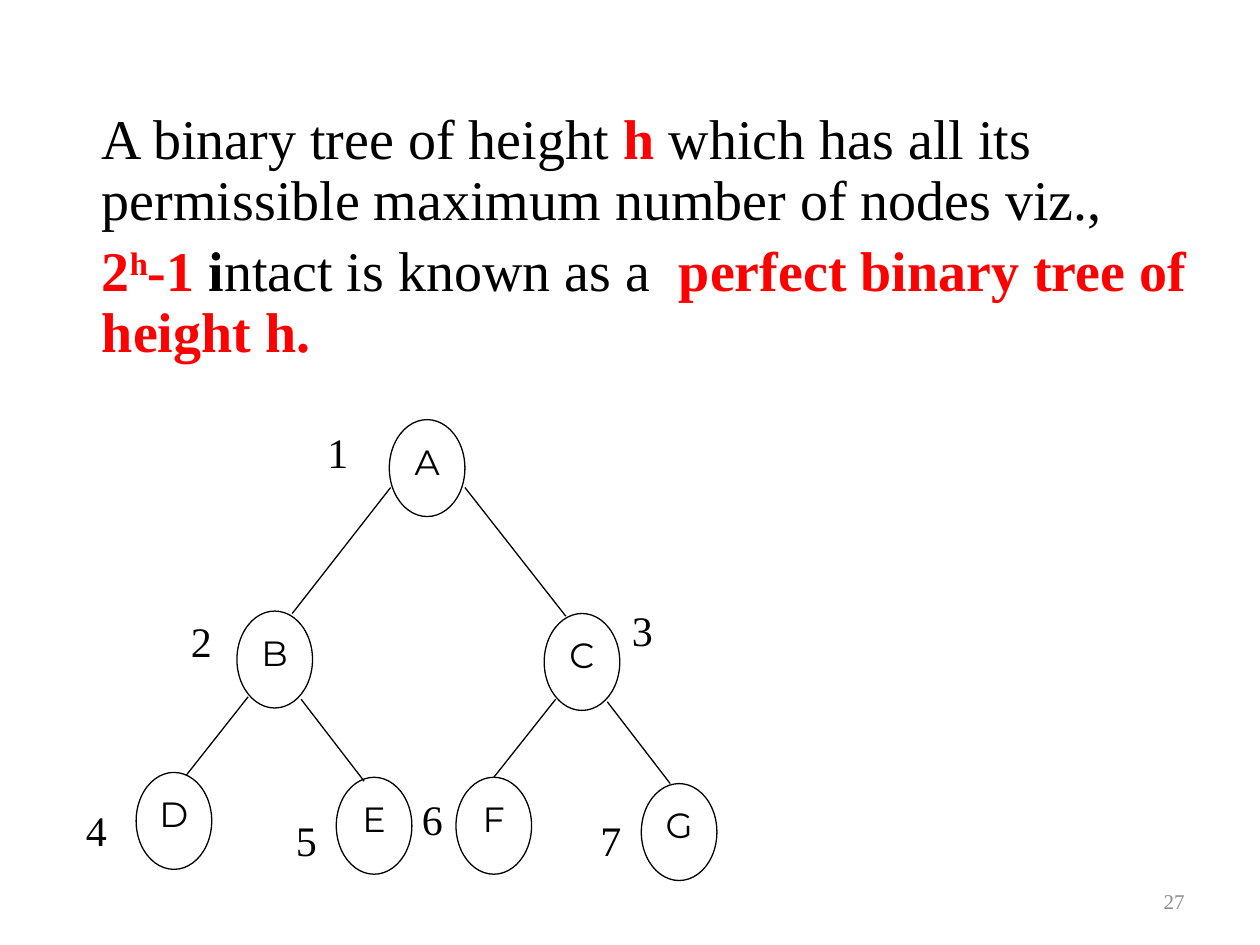
from lxml.etree import SubElement
from pptx import Presentation
from pptx.dml.color import RGBColor
from pptx.enum.shapes import MSO_CONNECTOR as Connector, MSO_SHAPE as Shape
from pptx.enum.text import MSO_ANCHOR as Anchor, PP_ALIGN as Align
from pptx.oxml.ns import qn
from pptx.util import Pt

BLACK = RGBColor(0, 0, 0)
RED = RGBColor(255, 0, 0)
GRAY = RGBColor(0x8C, 0x8C, 0x8C)
SERIF = "Times New Roman"
SANS = "Montserrat"


def write(para, text, size=24, color=BLACK, font=SERIF, bold=False, raised=False):
    span = para.add_run()
    span.text = text
    span.font.size = Pt(size)
    span.font.name = font
    span.font.bold = bold
    span.font.color.rgb = color
    if raised:
        span._r.get_or_add_rPr().set("baseline", "30000")


deck = Presentation()
deck.slide_width, deck.slide_height = Pt(720), Pt(540)
page = deck.slides.add_slide(deck.slide_layouts[1])
title = page.shapes.title._element
title.getparent().remove(title)

# Definition
body = page.placeholders[1]
body.left, body.top, body.width, body.height = Pt(24), Pt(60), Pt(672), Pt(444)
definition = [
    [("A binary tree of height ", {}),
     ("h", dict(color=RED, bold=True)),
     (" which has all its permissible maximum number of nodes viz.,", {})],
    [("2", dict(color=RED, bold=True)),
     ("h", dict(color=RED, bold=True, raised=True)),
     ("-1 ", dict(color=RED, bold=True)),
     ("i", dict(bold=True)),
     ("ntact is known as a  ", {}),
     ("perfect binary tree of height h.", dict(color=RED, bold=True))],
]
for index, spans in enumerate(definition):
    para = body.text_frame.add_paragraph() if index else body.text_frame.paragraphs[0]
    props = para._p.get_or_add_pPr()
    props.set("marL", str(Pt(27)))
    props.set("indent", "0")
    SubElement(props, qn("a:buNone"))
    para.line_spacing = 0.9
    para.space_before = Pt(6.4 if index else 0)
    for text, style in spans:
        write(para, text, size=32, **style)

# Tree edges
tree = page.shapes.add_group_shape()
edges = [
    (223.2, 278.6, 167, 350.6),    # A to B
    (265.7, 278.6, 323.3, 352.1),  # A to C
    (141.8, 398.2, 106.6, 442.8),  # B to D
    (172.1, 399.6, 208.1, 446.4),  # B to E
    (317.5, 399.6, 282.2, 444.2),  # C to F
    (347, 401, 383, 447.8),        # C to G
]
for ends in edges:
    edge = tree.shapes.add_connector(Connector.STRAIGHT, *map(Pt, ends))
    edge.line.color.rgb = BLACK
    edge.line.width = Pt(0.75)
    SubElement(edge._element.spPr, qn("a:effectLst"))

# Tree nodes, each with the place of its number
nodes = [
    ("A", 222.5, 239.8, 180, 240),
    ("B", 135.4, 349.2, 102, 348),
    ("C", 311, 350.6, 354, 342),
    ("D", 77.8, 441.4, 42, 456),
    ("E", 192.2, 444.2, 162, 462),
    ("F", 260.6, 444.2, 234, 450),
    ("G", 366.5, 447.8, 336, 462),
]
for number, (letter, left, top, label_left, label_top) in enumerate(nodes, 1):
    node = tree.shapes.add_shape(Shape.OVAL, Pt(left), Pt(top), Pt(43.2), Pt(55.4))
    node.shadow.inherit = False
    node.fill.background()
    node.line.color.rgb = BLACK
    node.line.width = Pt(0.75)
    node.text_frame.word_wrap = False
    node.text_frame.vertical_anchor = Anchor.TOP
    para = node.text_frame.paragraphs[0]
    para.alignment = Align.CENTER
    write(para, letter, size=20, font=SANS)

    label = page.shapes.add_textbox(Pt(label_left), Pt(label_top), Pt(36), Pt(36))
    label.text_frame.word_wrap = True
    write(label.text_frame.paragraphs[0], str(number))

# Slide number
footer = page.shapes.add_textbox(Pt(516), Pt(500.5), Pt(168), Pt(28.8))
footer.text_frame.word_wrap = True
footer.text_frame.vertical_anchor = Anchor.MIDDLE
para = footer.text_frame.paragraphs[0]
para.alignment = Align.RIGHT
write(para, "27", size=12, color=GRAY)

deck.save("out.pptx")
